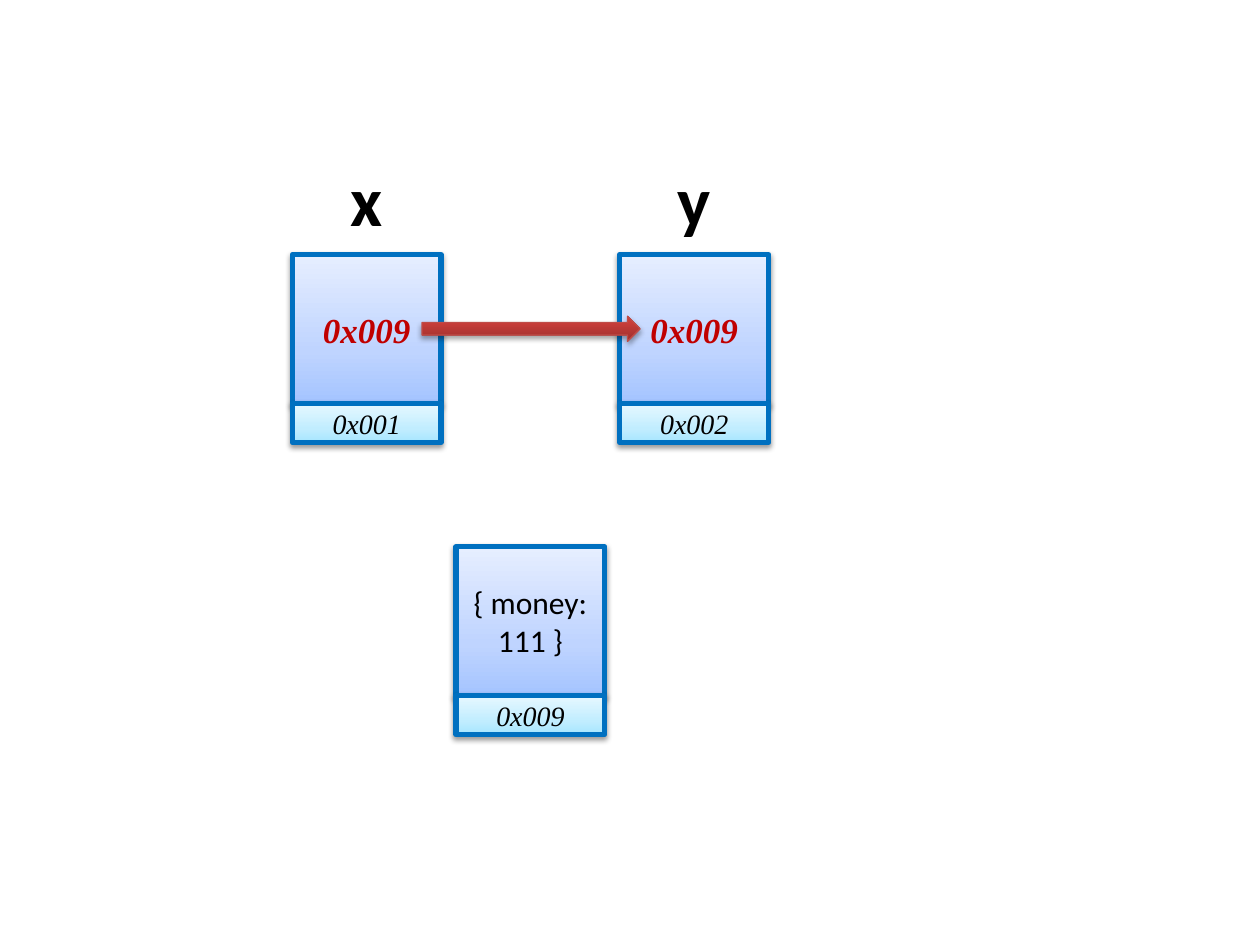
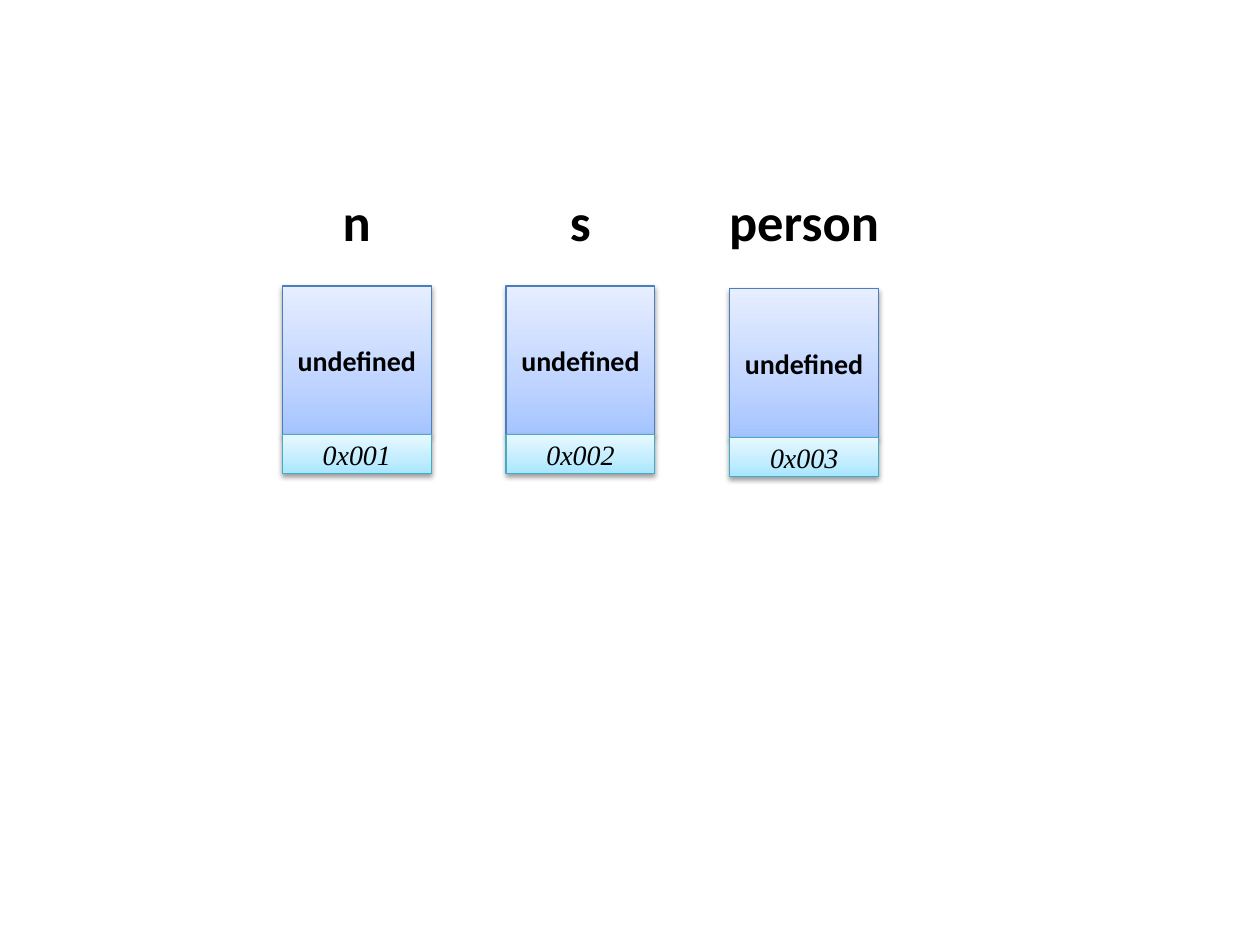
from dataclasses import dataclass

from lxml import etree
from pptx import Presentation
from pptx import util as u
from pptx.dml.color import RGBColor
from pptx.enum import shapes, text
from pptx.oxml.ns import qn


@dataclass(frozen=True)
class Theme:
    ink: str = "000000"
    reference: str = "C00000"
    bold_border: str = "0070C0"
    value_border: str = "4B7EBC"
    address_border: str = "46AAC5"
    arrow_border: str = "BF4C48"
    value_fill: tuple = ((0, "A4C4FF"), (35, "BFD4FF"), (100, "E6EEFF"))
    address_fill: tuple = ((0, "A7E6FF"), (35, "C1EDFF"), (100, "E7F8FF"))
    arrow_fill: tuple = ((0, "9C2F2D"), (80, "CB3E3A"), (100, "CE3B37"))
    sans: str = "Calibri"
    serif: str = "Times New Roman"
    big_name: float = 40
    name: float = 30
    reference_size: float = 20
    object_size: float = 18
    small: float = 16
    thick: float = 3
    thin: float = 0.75


THEME = Theme()
CELL = 85
ADDRESS_HEIGHT = 22.3
NAME_WIDTH = 62.6


def points(*lengths):
    return [u.Pt(length) for length in lengths]


def add_child(parent, tag, **attributes):
    return etree.SubElement(parent, qn(tag), {k: str(v) for k, v in attributes.items()})


def write(shape, words, font=THEME.sans, size=THEME.small, color=THEME.ink,
          bold=False, italic=False, anchor=text.MSO_ANCHOR.MIDDLE):
    frame = shape.text_frame
    frame.word_wrap = True
    frame.vertical_anchor = anchor
    paragraph = frame.paragraphs[0]
    paragraph.alignment = text.PP_ALIGN.CENTER
    run = paragraph.add_run()
    run.text = words
    run.font.name = font
    run.font.size = u.Pt(size)
    run.font.bold = bold
    run.font.italic = italic
    run.font.color.rgb = RGBColor.from_string(color)


def paint_gradient(shape, stops):
    shape.fill.gradient()
    shape.fill.gradient_angle = 90
    stop_list = shape.element.spPr.find(".//" + qn("a:gsLst"))
    for old_stop in list(stop_list):
        stop_list.remove(old_stop)
    for position, color in stops:
        stop = add_child(stop_list, "a:gs", pos=position * 1000)
        add_child(stop, "a:srgbClr", val=color)


def cast_shadow(shape, opacity, distance):
    shape.shadow.inherit = False
    effects = shape.element.spPr.find(qn("a:effectLst"))
    shadow = add_child(effects, "a:outerShdw", blurRad=u.Pt(3.1), dist=u.Pt(distance),
                       dir=5400000, rotWithShape=0)
    color = add_child(shadow, "a:srgbClr", val=THEME.ink)
    add_child(color, "a:alpha", val=opacity * 1000)


def add_block(parent, kind, box, stops, border, weight, opacity=38, distance=1.6):
    block = parent.shapes.add_shape(kind, *points(*box))
    paint_gradient(block, stops)
    block.line.color.rgb = RGBColor.from_string(border)
    block.line.width = u.Pt(weight)
    cast_shadow(block, opacity, distance)
    return block


def add_name(parent, name, center, top, width, height, size):
    label = parent.shapes.add_textbox(*points(center - width / 2, top, width, height))
    write(label, name, size=size, bold=True, anchor=text.MSO_ANCHOR.TOP)
    label.text_frame.auto_size = text.MSO_AUTO_SIZE.SHAPE_TO_FIT_TEXT


def add_memory_cell(slide, left, top, value, address, borders, weight, **value_format):
    cell = slide.shapes.add_group_shape()
    rectangle = shapes.MSO_SHAPE.RECTANGLE
    value_border, address_border = borders
    value_block = add_block(cell, rectangle, (left, top, CELL, CELL),
                            THEME.value_fill, value_border, weight)
    write(value_block, value, **value_format)
    address_block = add_block(cell, rectangle, (left, top + CELL, CELL, ADDRESS_HEIGHT),
                              THEME.address_fill, address_border, weight)
    write(address_block, address, font=THEME.serif, italic=True)
    return cell


def build_shared_reference(slide):
    outline = dict(borders=(THEME.bold_border, THEME.bold_border), weight=THEME.thick)
    first_left, pitch = 167, 187.2
    for index, (name, address) in enumerate((("x", "0x001"), ("y", "0x002"))):
        left = first_left + index * pitch
        variable = add_memory_cell(slide, left, 145.5, "0x009", address, **outline,
                                   font=THEME.serif, size=THEME.reference_size,
                                   color=THEME.reference, bold=True, italic=True)
        add_name(variable, name, left + CELL / 2, 85.7, NAME_WIDTH, 55.4, THEME.big_name)
    add_block(slide, shapes.MSO_SHAPE.RIGHT_ARROW, (241.2, 180.7, 124.6, 14.4),
              THEME.arrow_fill, THEME.arrow_border, THEME.thin, opacity=35, distance=1.8)
    add_memory_cell(slide, first_left + pitch / 2, 312.5, "{ money: 111 }", "0x009",
                    **outline, size=THEME.object_size)


def build_undefined_variables(slide):
    variables = (("n", "0x001", 163.4, NAME_WIDTH),
                 ("s", "0x002", 163.4, NAME_WIDTH),
                 ("person", "0x003", 165, 108))
    for index, (name, address, top, name_width) in enumerate(variables):
        left = 161.4 + index * 127.8
        variable = add_memory_cell(slide, left, top, "undefined", address,
                                   borders=(THEME.value_border, THEME.address_border),
                                   weight=THEME.thin, bold=True)
        add_name(variable, name, left + CELL / 2, 104.4, name_width, 43.9, THEME.name)


def main():
    deck = Presentation()
    deck.slide_width, deck.slide_height = points(720, 540)
    blank = deck.slide_layouts[6]
    for build in (build_shared_reference, build_undefined_variables):
        build(deck.slides.add_slide(blank))
    deck.save("out.pptx")


if __name__ == "__main__":
    main()
